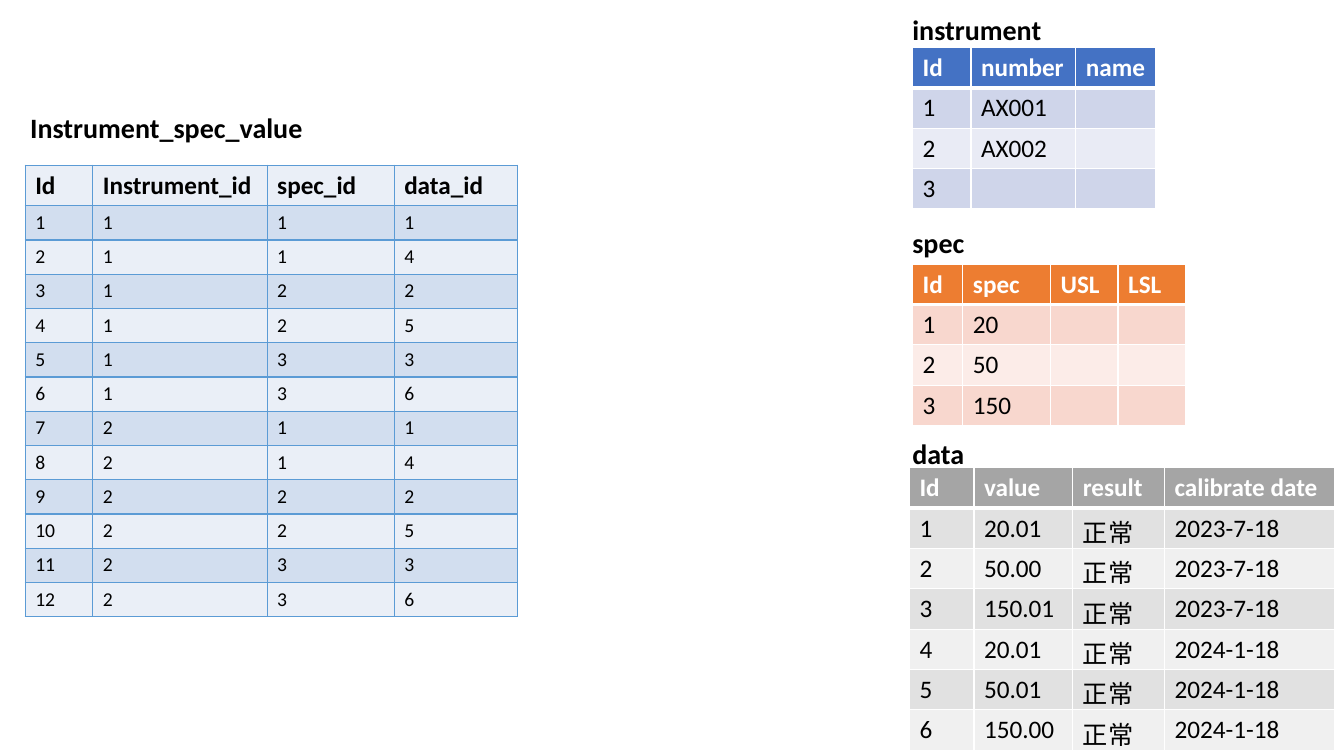
from lxml.etree import SubElement
from pptx import Presentation
from pptx.dml.color import RGBColor
from pptx.enum.text import MSO_AUTO_SIZE
from pptx.oxml.ns import qn
from pptx.util import Inches, Pt


def paint(code):
    return RGBColor.from_string(code)


def write(frame, text, size, color, bold):
    run = frame.paragraphs[0].add_run()
    run.text = text
    font = run.font
    font.name = "Calibri"
    font.size = Pt(size)
    font.bold = bold
    font.color.rgb = paint(color)


def edge(cell, color, top, base):
    props = cell._tc.get_or_add_tcPr()
    for side, width in zip("LRTB", (1, 1, top, base)):
        line = SubElement(props, qn(f"a:ln{side}"), w=str(Pt(width)))
        fill = SubElement(line, qn("a:solidFill"))
        SubElement(fill, qn("a:srgbClr"), val=color)


def label(slide, box, text):
    shape = slide.shapes.add_textbox(*map(Inches, box))
    frame = shape.text_frame
    frame.word_wrap = False
    frame.auto_size = MSO_AUTO_SIZE.SHAPE_TO_FIT_TEXT
    write(frame, text, 20, "000000", True)


def panel(slide, name, box, shift, widths, rows, look):
    left, top, width = box
    label(slide, (left, top, width, 0.44), name)
    head, ink, bands, line, rule, size, tall = look
    heights = [0.4] + [tall] * (len(rows) - 1)
    place = (left + shift[0], top + shift[1], sum(widths), sum(heights))
    frame = slide.shapes.add_table(len(rows), len(widths), *map(Inches, place))
    table = frame.table
    for col, wide in zip(table.columns, widths):
        col.width = Inches(wide)
    for row, high in zip(table.rows, heights):
        row.height = Inches(high)
    for i, row in enumerate(rows):
        first = i == 0
        for j, text in enumerate(row):
            cell = table.cell(i, j)
            edge(cell, line, rule if i == 1 else 1, rule if first else 1)
            cell.fill.solid()
            cell.fill.fore_color.rgb = paint(head if first else bands[(i - 1) % 2])
            if text:
                write(cell.text_frame, text, 18 if first else size,
                      ink if first else "000000", first)


def solid(head, *bands):
    return head, "FFFFFF", bands, "FFFFFF", 3, 18, 0.4


def links():
    rows = [("Id", "Instrument_id", "spec_id", "data_id")]
    for n in range(12):
        tool, rest = divmod(n, 6)
        spec, turn = divmod(rest, 2)
        rows.append([str(v) for v in (n + 1, tool + 1, spec + 1, spec + 1 + 3 * turn)])
    return rows


def tests():
    rows = [("Id", "value", "result", "calibrate date")]
    values = ("20.01", "50.00", "150.01", "20.01", "50.01", "150.00")
    for n, value in enumerate(values):
        rows.append((str(n + 1), value, "正常", f"{2023 + n // 3}-{7 if n < 3 else 1}-18"))
    return rows


def main():
    deck = Presentation()
    deck.slide_width = Inches(13.33)
    deck.slide_height = Inches(7.5)
    slide = deck.slides.add_slide(deck.slide_layouts[6])

    grid = ("EAEFF7", "000000", ("D2DEEF", "EAEFF7"), "5B9BD5", 1, 14, 0.34)
    panel(slide, "Instrument_spec_value", (0.2, 1.05, 2.94), (0.05, 0.59),
          (0.67, 1.73, 1.26, 1.22), links(), grid)

    tools = [("Id", "number", "name"), ("1", "AX001", ""), ("2", "AX002", ""), ("3", "", "")]
    panel(slide, "instrument", (8.95, 0.07, 1.49), (0.1, 0.4),
          (0.58, 1.04, 0.79), tools, solid("4472C4", "CFD5EA", "E9EBF5"))

    specs = [("Id", "spec", "USL", "LSL"), ("1", "20", "", ""), ("2", "50", "", ""), ("3", "150", "", "")]
    panel(slide, "spec", (8.95, 2.19, 0.72), (0.1, 0.43),
          (0.5, 0.87, 0.67, 0.67), specs, solid("ED7D31", "F8D7CE", "FCECE8"))

    panel(slide, "data", (8.95, 4.28, 0.72), (0.07, 0.36),
          (0.64, 0.98, 0.91, 1.69), tests(), solid("A5A5A5", "E1E1E1", "F0F0F0"))

    deck.save("out.pptx")


if __name__ == "__main__":
    main()
